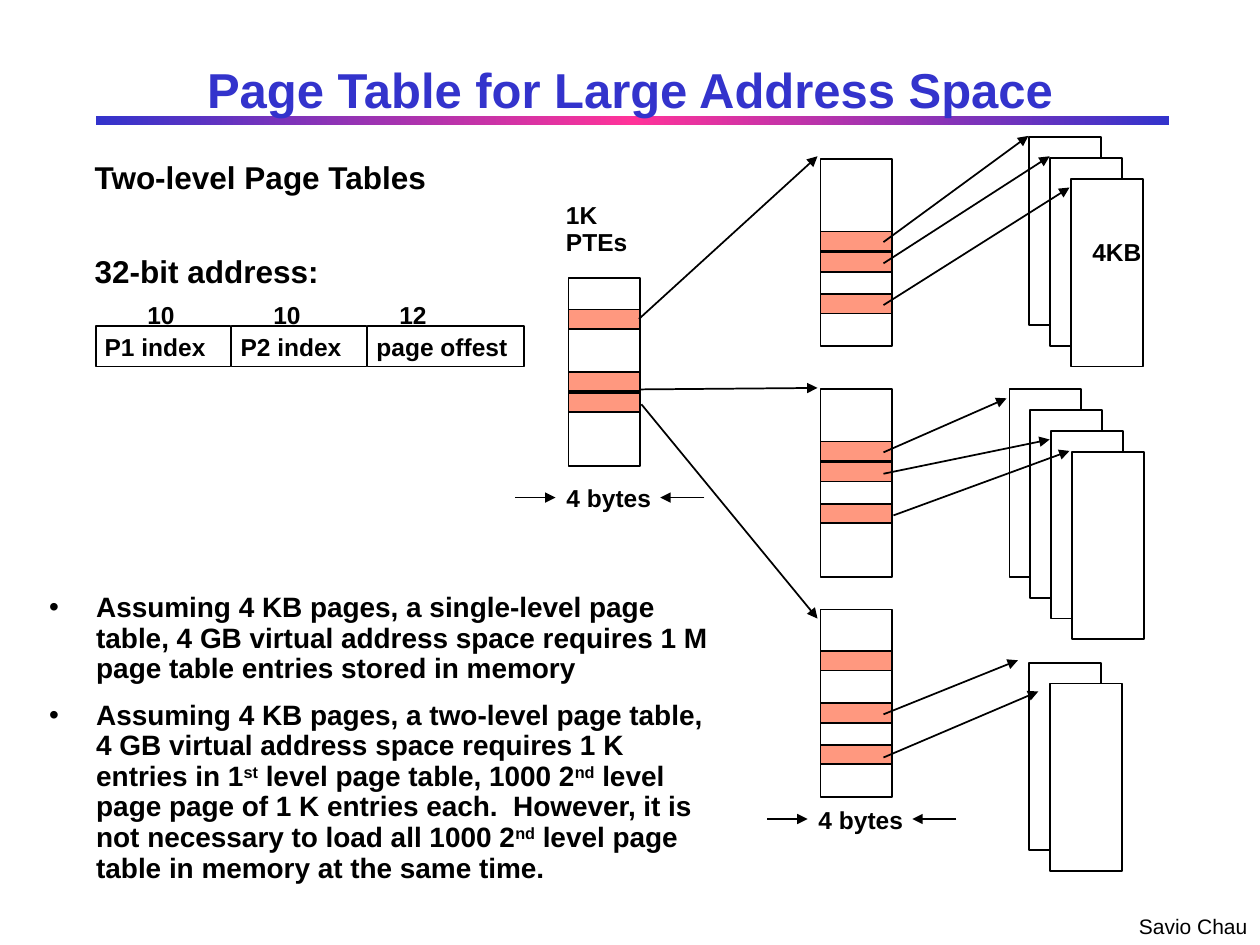
"""Build a slide explaining two-level page tables for a large address space."""
from dataclasses import dataclass
from typing import Any, NamedTuple

import pptx
import pptx.dml.color
import pptx.enum.shapes
import pptx.enum.text
import pptx.oxml
import pptx.oxml.ns
import pptx.util
from lxml import etree

Cm = pptx.util.Cm
Pt = pptx.util.Pt
qn = pptx.oxml.ns.qn
RECTANGLE = pptx.enum.shapes.MSO_SHAPE.RECTANGLE
STRAIGHT = pptx.enum.shapes.MSO_CONNECTOR.STRAIGHT
FIT_SHAPE = pptx.enum.text.MSO_AUTO_SIZE.SHAPE_TO_FIT_TEXT


@dataclass(frozen=True)
class Theme:
    """Colours, type sizes and line width of the slide."""
    font: str = "Arial"
    ink: str = "000000"
    paper: str = "FFFFFF"
    title: str = "3333CC"
    accent: str = "FF3399"
    entry: str = "FF3300"
    title_size: int = 28
    heading_size: int = 18
    body_size: int = 16
    label_size: int = 14
    credit_size: int = 12
    line_width: int = 1


class PageTable(NamedTuple):
    """A page table and its used entries, counted in steps from its top."""
    left: float
    top: float
    entries: tuple[float, ...]


class PageStack(NamedTuple):
    """A cascade of overlapping pages."""
    left: float
    top: float
    count: int


class Arrow(NamedTuple):
    """A pointer from one place to another."""
    start_x: float
    start_y: float
    end_x: float
    end_y: float


class Label(NamedTuple):
    """A text block with its place and type size."""
    lines: tuple[str, ...]
    left: float
    top: float
    width: float
    height: float
    size: int
    spacing: float = 0.9


class Field(NamedTuple):
    """A part of the virtual address."""
    name: str
    bits: str
    width: float
    text_width: float


THEME = Theme()
STEP = 0.42
BLOCK_WIDTH, BLOCK_HEIGHT, ENTRY_HEIGHT = 1.45, 3.78, 0.39
FIELD_LEFT, FIELD_TOP, FIELD_PITCH = 1.93, 6.58, 2.74
BITS_LEFT, BITS_PITCH = 2.79, 2.54

TABLES = (
    PageTable(11.46, 5.61, (1.5, 4.5, 5.5)),
    PageTable(16.54, 3.2, (3.5, 4.5, 6.5)),
    PageTable(16.54, 7.85, (2.5, 3.5, 5.5)),
    PageTable(16.54, 12.29, (2, 4.5, 6.5)),
)
STACKS = (PageStack(20.35, 7.85, 4), PageStack(20.75, 2.77, 3), PageStack(20.75, 13.36, 2))
POINTERS = (
    Arrow(12.88, 6.43, 16.48, 3.15),
    Arrow(12.9, 7.85, 16.48, 7.82),
    Arrow(12.93, 8.15, 16.48, 12.47),
    Arrow(17.81, 4.88, 20.73, 2.74),
    Arrow(17.81, 5.31, 21.16, 3.15),
    Arrow(17.81, 6.15, 21.56, 3.78),
    Arrow(17.81, 9.12, 20.29, 8.03),
    Arrow(17.81, 9.55, 21.16, 8.86),
    Arrow(18.01, 10.39, 21.56, 9.09),
    Arrow(17.81, 14.4, 20.52, 13.31),
    Arrow(17.81, 15.27, 20.93, 13.94),
)
FIELDS = (
    Field("P1 index", "10", 2.72, 2.5),
    Field("P2 index", "10", 2.72, 2.5),
    Field("page offest", "12", 3.15, 3.12),
)
LABELS = (
    Label(("Two-level Page Tables",), 1.73, 3.22, 7.24, 0.79, THEME.heading_size, 0.85),
    Label(("32-bit address:",), 1.73, 5.12, 4.98, 0.79, THEME.heading_size, 0.85),
    Label(("4KB",), 21.84, 4.76, 1.45, 0.69, THEME.label_size),
    Label(("1K", "PTEs"), 11.23, 4.02, 1.7, 1.22, THEME.label_size),
)
BYTE_WIDTHS = ((10.39, 10.03), (15.47, 16.51))
BULLETS = (
    ("Assuming 4 KB pages, a single-level page table, 4 GB virtual address space "
     "requires 1 M page table entries stored in memory",),
    ("Assuming 4 KB pages, a two-level page table, 4 GB virtual address space "
     "requires 1 K entries in 1", "st", " level page table, 1000 2", "nd",
     " level page page of 1 K entries each.  However, it is not necessary to load all 1000 2",
     "nd", " level page table in memory at the same time."),
)


def apply_format(target: Any, values: dict[str, Any]) -> None:
    """Set every named attribute on the target."""
    for name, value in values.items():
        setattr(target, name, value)


def rgb(color: str) -> pptx.dml.color.RGBColor:
    """Turn a hex string into a colour."""
    return pptx.dml.color.RGBColor.from_string(color)


def format_font(font: Any, size: int, color: str = THEME.ink, bold: bool = True) -> None:
    """Give a font the theme's typeface with a size, colour and weight."""
    apply_format(font, {"name": THEME.font, "size": Pt(size), "bold": bold})
    font.color.rgb = rgb(color)


def add_box(slide: Any, left: float, top: float, width: float, height: float,
            fill: str | None = None, opacity: int = 100) -> Any:
    """Draw an outlined rectangle, optionally filled."""
    shape = slide.shapes.add_shape(RECTANGLE, Cm(left), Cm(top), Cm(width), Cm(height))
    shape.shadow.inherit = False
    shape.line.width = Pt(THEME.line_width)
    shape.line.color.rgb = rgb(THEME.ink)
    if fill is None:
        shape.fill.background()
        return shape
    shape.fill.solid()
    shape.fill.fore_color.rgb = rgb(fill)
    if opacity < 100:
        color = shape._element.spPr.find(qn("a:solidFill"))[0]
        etree.SubElement(color, qn("a:alpha"), val=str(opacity * 1000))
    return shape


def add_title_bar(slide: Any) -> None:
    """Draw the three-stop gradient bar behind the title."""
    bar = add_box(slide, 1.93, 2.33, 21.64, 0.2)
    bar.line.fill.background()
    bar.fill.gradient()
    bar.fill.gradient_angle = 0
    stops = bar._element.spPr.find(qn("a:gradFill")).find(qn("a:gsLst"))
    stops[:] = []
    for position, color in ((0, THEME.title), (50, THEME.accent), (100, THEME.title)):
        stop = etree.SubElement(stops, qn("a:gs"), pos=str(position * 1000))
        etree.SubElement(stop, qn("a:srgbClr"), val=color)


def add_title(slide: Any, text: str) -> None:
    """Place the title text over the bar."""
    title = slide.shapes.title
    apply_format(title, {"left": Cm(1.9), "top": Cm(1.06), "width": Cm(21.6), "height": Cm(1.47)})
    apply_format(title.text_frame, {
        "text": text, "word_wrap": True,
        "auto_size": pptx.enum.text.MSO_AUTO_SIZE.NONE,
        "vertical_anchor": pptx.enum.text.MSO_ANCHOR.MIDDLE})
    paragraph = title.text_frame.paragraphs[0]
    paragraph.alignment = pptx.enum.text.PP_ALIGN.CENTER
    format_font(paragraph.runs[0].font, THEME.title_size, THEME.title)
    slide.shapes._spTree.append(title._element)


def add_text_frame(slide: Any, left: float, top: float, width: float, height: float) -> Any:
    """Add a wrapping text box with tight margins and return its frame."""
    frame = slide.shapes.add_textbox(Cm(left), Cm(top), Cm(width), Cm(height)).text_frame
    apply_format(frame, {
        "word_wrap": True, "auto_size": FIT_SHAPE,
        "margin_left": Cm(0.18), "margin_right": Cm(0.18),
        "margin_top": Cm(0.08), "margin_bottom": Cm(0.08)})
    return frame


def add_label(slide: Any, label: Label, bold: bool = True) -> None:
    """Write a label, one paragraph a line."""
    frame = add_text_frame(slide, label.left, label.top, label.width, label.height)
    frame.text = "\n".join(label.lines)
    for paragraph in frame.paragraphs:
        paragraph.line_spacing = label.spacing
        format_font(paragraph.runs[0].font, label.size, bold=bold)


def add_arrow(slide: Any, arrow: Arrow) -> None:
    """Draw a line with a triangle at its end."""
    connector = slide.shapes.add_connector(STRAIGHT, *(Cm(value) for value in arrow))
    connector.line.width = Pt(THEME.line_width)
    connector.line.color.rgb = rgb(THEME.ink)
    properties = connector._element.spPr
    etree.SubElement(properties.find(qn("a:ln")), qn("a:tailEnd"), type="triangle")
    etree.SubElement(properties, qn("a:effectLst"))


def add_page_table(slide: Any, table: PageTable) -> None:
    """Draw a page table with its used entries."""
    add_box(slide, table.left, table.top, BLOCK_WIDTH, BLOCK_HEIGHT)
    for entry in table.entries:
        add_box(slide, table.left, table.top + entry * STEP, BLOCK_WIDTH, ENTRY_HEIGHT,
                THEME.entry, 50)


def add_page_stack(slide: Any, stack: PageStack) -> None:
    """Draw pages, each one step right and down from the last."""
    for index in range(stack.count):
        add_box(slide, stack.left + index * STEP, stack.top + index * STEP,
                BLOCK_WIDTH, BLOCK_HEIGHT, THEME.paper)


def add_address_field(slide: Any, index: int, field: Field) -> None:
    """Draw one address field with its name and bit count."""
    left = FIELD_LEFT + index * FIELD_PITCH
    add_box(slide, left, FIELD_TOP, field.width, 0.81)
    add_label(slide, Label((field.name,), left, FIELD_TOP + 0.1, field.text_width, 0.69,
                           THEME.label_size))
    add_label(slide, Label((field.bits,), BITS_LEFT + index * BITS_PITCH, FIELD_TOP - 0.55,
                           1.02, 0.69, THEME.label_size))


def add_byte_width(slide: Any, left: float, middle: float) -> None:
    """Mark an entry width between two facing arrows."""
    add_label(slide, Label(("4 bytes",), left + 0.85, middle - 0.3, 2.2, 0.69, THEME.label_size))
    add_arrow(slide, Arrow(left, middle, left + 0.81, middle))
    add_arrow(slide, Arrow(left + 3.81, middle, left + 2.92, middle))


def add_bullets(slide: Any) -> None:
    """Write the bullets, with every second run of each raised."""
    frame = add_text_frame(slide, 0.81, 11.88, 13.72, 6.02)
    for index, parts in enumerate(BULLETS):
        paragraph = frame.add_paragraph() if index else frame.paragraphs[0]
        apply_format(paragraph, {"line_spacing": 0.91, "space_before": Pt(9.1)})
        properties = paragraph._p.get_or_add_pPr()
        properties.set("marL", str(Cm(0.95)))
        properties.set("indent", str(-Cm(0.95)))
        etree.SubElement(properties, qn("a:buFont"), typeface=THEME.font)
        etree.SubElement(properties, qn("a:buChar"), char="•")
        for position, text in enumerate(parts):
            run = paragraph.add_run()
            run.text = text
            format_font(run.font, THEME.body_size)
            if position % 2:
                run._r.get_or_add_rPr().set("baseline", "30000")


def main() -> None:
    """Build and save the presentation."""
    presentation = pptx.Presentation()
    apply_format(presentation, {"slide_width": Cm(25.4), "slide_height": Cm(19.05)})
    slide = presentation.slides.add_slide(presentation.slide_layouts[5])
    add_title_bar(slide)
    add_title(slide, "Page Table for Large Address Space")
    for table in TABLES:
        add_page_table(slide, table)
    for stack in STACKS:
        add_page_stack(slide, stack)
    for pointer in POINTERS:
        add_arrow(slide, pointer)
    for index, field in enumerate(FIELDS):
        add_address_field(slide, index, field)
    for label in LABELS:
        add_label(slide, label)
    for left, middle in BYTE_WIDTHS:
        add_byte_width(slide, left, middle)
    add_bullets(slide)
    add_label(slide, Label(("Savio Chau",), 22.78, 18.34, 2.62, 0.66, THEME.credit_size, 1.0),
              bold=False)
    presentation.save("out.pptx")


if __name__ == "__main__":
    main()
